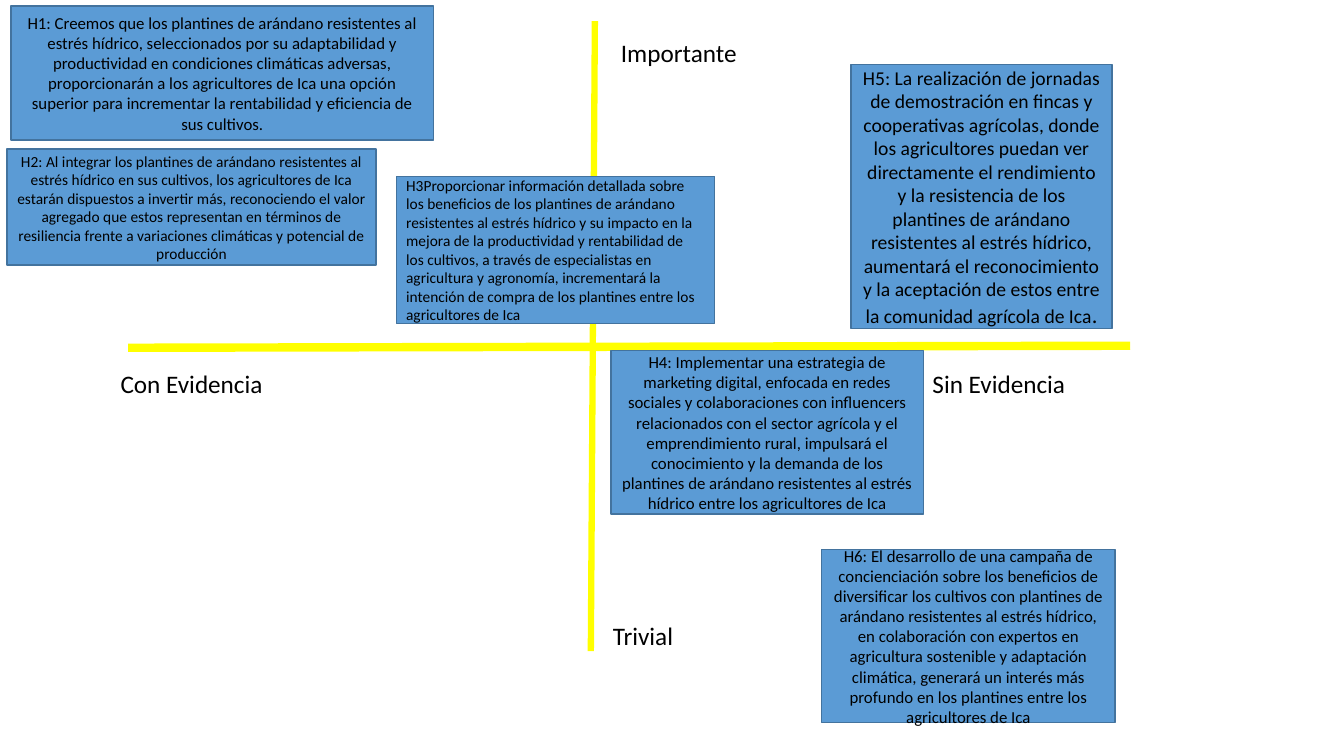
from pptx import Presentation
from pptx.dml.color import RGBColor
from pptx.enum.shapes import MSO_CONNECTOR, MSO_SHAPE
from pptx.enum.text import MSO_ANCHOR, MSO_AUTO_SIZE, PP_ALIGN
from pptx.oxml.ns import qn
from pptx.util import Inches, Pt
from lxml import etree

BLACK = RGBColor(0x00, 0x00, 0x00)
YELLOW = RGBColor(0xFF, 0xFF, 0x00)
BLUE = RGBColor(0x5B, 0x9B, 0xD5)
EDGE = RGBColor(0x43, 0x73, 0x9E)
FONT = "Calibri"
LEFT, CENTER = PP_ALIGN.LEFT, PP_ALIGN.CENTER
MIDDLE = MSO_ANCHOR.MIDDLE
GROW = MSO_AUTO_SIZE.SHAPE_TO_FIT_TEXT
RECT = MSO_SHAPE.RECTANGLE
LINE = MSO_CONNECTOR.STRAIGHT


def style(run, size):
    run.font.name = FONT
    run.font.size = Pt(size)
    run.font.color.rgb = BLACK


def write(frame, text, size, align):
    frame.word_wrap = True
    para = frame.paragraphs[0]
    para.text = text
    para.alignment = align
    style(para.runs[0], size)
    return para


deck = Presentation()
deck.slide_width = Inches(13.33)
deck.slide_height = Inches(7.5)
slide = deck.slides.add_slide(deck.slide_layouts[6])

axes = [
    (1.27, 3.45, 11.21, 3.43, 6),
    (5.9, 0.21, 5.86, 6.46, 4.5),
]
for x1, y1, x2, y2, width in axes:
    axis = slide.shapes.add_connector(LINE, Inches(x1), Inches(y1), Inches(x2), Inches(y2))
    axis.line.color.rgb = YELLOW
    axis.line.width = Pt(width)
    etree.SubElement(axis.element.spPr, qn("a:effectLst"))

labels = [
    ("Con Evidencia", 0.84, 3.6, 2.12, CENTER),
    ("Sin Evidencia", 9.15, 3.6, 1.88, LEFT),
    ("Importante", 6.06, 0.32, 2.18, LEFT),
    ("Trivial", 5.98, 6.11, 2.26, LEFT),
]
for text, x, y, w, align in labels:
    label = slide.shapes.add_textbox(Inches(x), Inches(y), Inches(w), Inches(0.4))
    write(label.text_frame, text, 18, align)
    label.text_frame.auto_size = GROW

cards = [
    (0.11, 0.06, 4.19, 1.33, 12, CENTER,
     "H1: Creemos que los plantines de arándano resistentes al estrés hídrico, "
     "seleccionados por su adaptabilidad y productividad en condiciones climáticas "
     "adversas, proporcionarán a los agricultores de Ica una opción superior para "
     "incrementar la rentabilidad y eficiencia de sus cultivos."),
    (0.07, 1.48, 3.66, 1.15, 11, CENTER,
     "H2: Al integrar los plantines de arándano resistentes al estrés hídrico en sus "
     "cultivos, los agricultores de Ica estarán dispuestos a invertir más, reconociendo "
     "el valor agregado que estos representan en términos de resiliencia frente a "
     "variaciones climáticas y potencial de producción"),
    (3.93, 1.75, 3.16, 1.46, 11, LEFT,
     "H3Proporcionar información detallada sobre los beneficios de los plantines de "
     "arándano resistentes al estrés hídrico y su impacto en la mejora de la "
     "productividad y rentabilidad de los cultivos, a través de especialistas en "
     "agricultura y agronomía, incrementará la intención de compra de los plantines "
     "entre los agricultores de Ica"),
    (6.06, 3.48, 3.1, 1.62, 12, CENTER,
     "H4: Implementar una estrategia de marketing digital, enfocada en redes sociales y "
     "colaboraciones con influencers relacionados con el sector agrícola y el "
     "emprendimiento rural, impulsará el conocimiento y la demanda de los plantines de "
     "arándano resistentes al estrés hídrico entre los agricultores de Ica"),
    (8.15, 5.45, 2.91, 1.72, 12, CENTER,
     "H6: El desarrollo de una campaña de concienciación sobre los beneficios de "
     "diversificar los cultivos con plantines de arándano resistentes al estrés hídrico, "
     "en colaboración con expertos en agricultura sostenible y adaptación climática, "
     "generará un interés más profundo en los plantines entre los agricultores de Ica"),
    (8.44, 0.64, 2.59, 2.62, 14, CENTER,
     "H5: La realización de jornadas de demostración en fincas y cooperativas agrícolas, "
     "donde los agricultores puedan ver directamente el rendimiento y la resistencia de "
     "los plantines de arándano resistentes al estrés hídrico, aumentará el "
     "reconocimiento y la aceptación de estos entre la comunidad agrícola de Ica"),
]
for x, y, w, h, size, align, text in cards:
    card = slide.shapes.add_shape(RECT, Inches(x), Inches(y), Inches(w), Inches(h))
    card.shadow.inherit = False
    card.fill.solid()
    card.fill.fore_color.rgb = BLUE
    card.line.color.rgb = EDGE
    card.line.width = Pt(1)
    card.text_frame.vertical_anchor = MIDDLE
    para = write(card.text_frame, text, size, align)

stop = para.add_run()
stop.text = "."
style(stop, 16)

deck.save("out.pptx")
